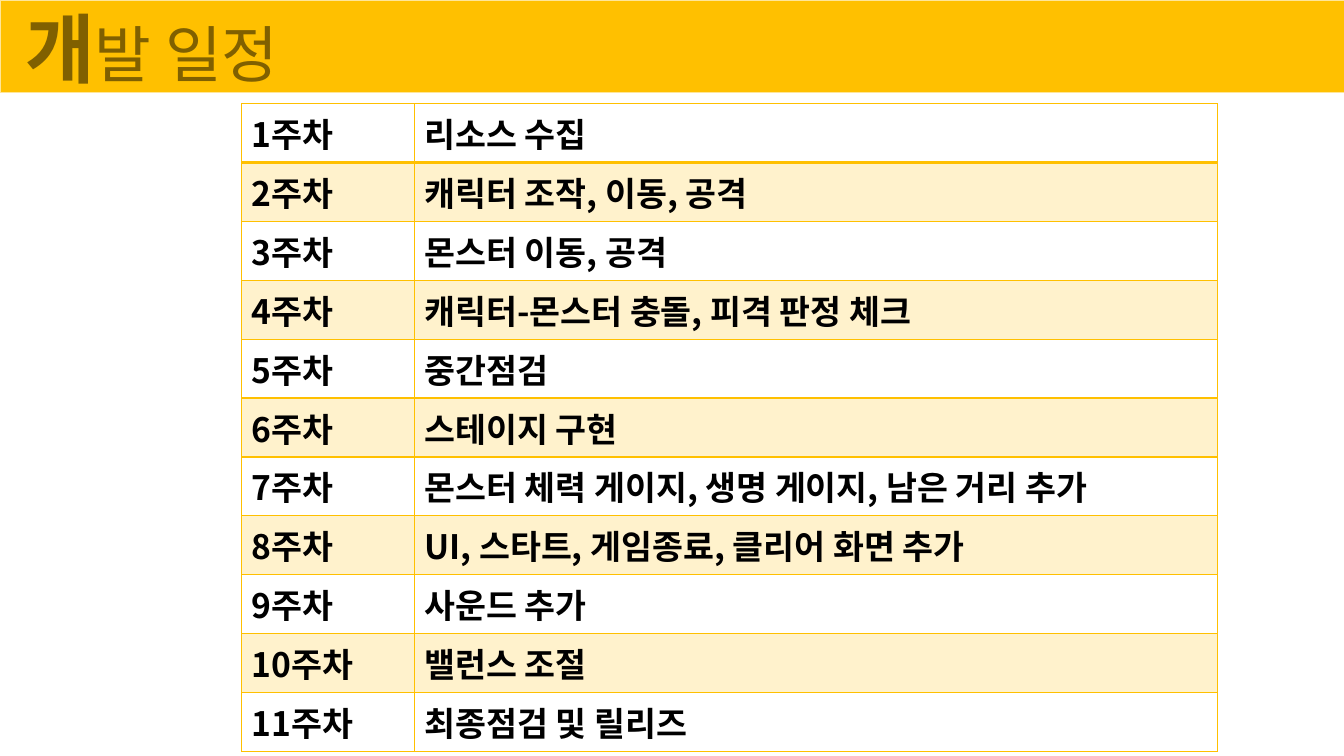
"""Build the development schedule slide with a title banner and a weekly table."""

import dataclasses

import lxml.etree
import pptx
import pptx.dml.color
import pptx.enum.shapes
import pptx.enum.text
import pptx.oxml.ns
import pptx.slide
import pptx.table
import pptx.text.text
import pptx.util

SLIDE_WIDTH = pptx.util.Inches(13.33)
SLIDE_HEIGHT = pptx.util.Inches(7.5)
FONT_NAME = "Noto Sans CJK KR"
GOLD = pptx.dml.color.RGBColor(0xFF, 0xC0, 0x00)
PALE_GOLD = pptx.dml.color.RGBColor(0xFF, 0xE6, 0x99)
BROWN = pptx.dml.color.RGBColor(0x80, 0x60, 0x00)
BLACK = pptx.dml.color.RGBColor(0x00, 0x00, 0x00)
BAND_OPACITY = 20
WEEK_COLUMN = 12.83
TASK_COLUMN = 59.79
ROW_HEIGHT = 7.6
TASKS = (
    "리소스 수집",
    "캐릭터 조작, 이동, 공격",
    "몬스터 이동, 공격",
    "캐릭터-몬스터 충돌, 피격 판정 체크",
    "중간점검",
    "스테이지 구현",
    "몬스터 체력 게이지, 생명 게이지, 남은 거리 추가",
    "UI, 스타트, 게임종료, 클리어 화면 추가",
    "사운드 추가",
    "밸런스 조절",
    "최종점검 및 릴리즈",
)


@dataclasses.dataclass(frozen=True)
class Area:
    """A rectangle in percent of the slide's width and height."""

    left: float
    top: float
    width: float
    height: float

    def lengths(self) -> tuple[int, int, int, int]:
        """Return left, top, width and height as slide lengths."""
        return across(self.left), down(self.top), across(self.width), down(self.height)


@dataclasses.dataclass(frozen=True)
class TextStyle:
    """Size, colour and weight of a run."""

    size: float
    color: pptx.dml.color.RGBColor
    bold: bool


@dataclasses.dataclass(frozen=True)
class TitlePart:
    """A piece of the title with its own style."""

    text: str
    style: TextStyle


BANNER = Area(0, 0, 108.25, 12.27)
TITLE = Area(1.13, 1.33, 21.38, 11.47)
SCHEDULE = Area(18, 13.73, WEEK_COLUMN + TASK_COLUMN, ROW_HEIGHT * len(TASKS))
CELL_STYLE = TextStyle(24, BLACK, True)
TITLE_PARTS = (
    TitlePart("개", TextStyle(54, BROWN, True)),
    TitlePart("발 일정", TextStyle(44, BROWN, False)),
)


def across(percent: float) -> int:
    """Convert a share of the slide's width to a length."""
    return pptx.util.Emu(round(SLIDE_WIDTH * percent / 100))


def down(percent: float) -> int:
    """Convert a share of the slide's height to a length."""
    return pptx.util.Emu(round(SLIDE_HEIGHT * percent / 100))


def format_run(run: pptx.text.text._Run, style: TextStyle) -> None:
    """Apply a style and the slide's font to a run."""
    run.font.name = FONT_NAME
    run.font.size = pptx.util.Pt(style.size)
    run.font.bold = style.bold
    run.font.color.rgb = style.color
    east_asian = lxml.etree.SubElement(run.font._element, pptx.oxml.ns.qn("a:ea"))
    east_asian.set("typeface", FONT_NAME)


def draw_banner(slide: pptx.slide.Slide) -> None:
    """Draw the gold band along the top."""
    banner = slide.shapes.add_shape(
        pptx.enum.shapes.MSO_SHAPE.RECTANGLE, *BANNER.lengths()
    )
    banner.shadow.inherit = False
    banner.fill.solid()
    banner.fill.fore_color.rgb = GOLD
    banner.line.color.rgb = PALE_GOLD
    banner.line.width = pptx.util.Pt(1)


def draw_title(slide: pptx.slide.Slide) -> None:
    """Write the title with its enlarged first syllable."""
    text_frame = slide.shapes.add_textbox(*TITLE.lengths()).text_frame
    text_frame.word_wrap = True
    text_frame.vertical_anchor = pptx.enum.text.MSO_ANCHOR.MIDDLE
    paragraph = text_frame.paragraphs[0]
    paragraph.line_spacing = 0.9
    for part in TITLE_PARTS:
        run = paragraph.add_run()
        run.text = part.text
        format_run(run, part.style)


def set_borders(cell: pptx.table._Cell, widths: dict[str, float]) -> None:
    """Give a cell gold borders of the given widths in points."""
    properties = cell._tc.get_or_add_tcPr()
    for position, (side, width) in enumerate(widths.items()):
        border = lxml.etree.Element(pptx.oxml.ns.qn(f"a:ln{side}"))
        border.set("w", str(pptx.util.Pt(width)))
        fill = lxml.etree.SubElement(border, pptx.oxml.ns.qn("a:solidFill"))
        color = lxml.etree.SubElement(fill, pptx.oxml.ns.qn("a:srgbClr"))
        color.set("val", str(GOLD))
        properties.insert(position, border)


def fill_cell(cell: pptx.table._Cell, banded: bool) -> None:
    """Tint a banded cell with translucent gold and leave others clear."""
    if not banded:
        cell.fill.background()
        return
    cell.fill.solid()
    cell.fill.fore_color.rgb = GOLD
    color = cell._tc.tcPr.find(".//" + pptx.oxml.ns.qn("a:srgbClr"))
    alpha = lxml.etree.SubElement(color, pptx.oxml.ns.qn("a:alpha"))
    alpha.set("val", str(BAND_OPACITY * 1000))


def draw_schedule(slide: pptx.slide.Slide) -> None:
    """Draw the table of weeks and tasks."""
    table = slide.shapes.add_table(len(TASKS), 2, *SCHEDULE.lengths()).table
    table.first_row = False
    table.horz_banding = False
    for column, width in zip(table.columns, (WEEK_COLUMN, TASK_COLUMN)):
        column.width = across(width)
    for index, task in enumerate(TASKS):
        table.rows[index].height = down(ROW_HEIGHT)
        widths = {
            "L": 1,
            "R": 1,
            "T": 2 if index == 1 else 1,
            "B": 2 if index == 0 else 1,
        }
        for cell, text in zip(table.rows[index].cells, (f"{index + 1}주차", task)):
            cell.text_frame.text = text
            cell.vertical_anchor = pptx.enum.text.MSO_ANCHOR.MIDDLE
            format_run(cell.text_frame.paragraphs[0].runs[0], CELL_STYLE)
            fill_cell(cell, index % 2 == 1)
            set_borders(cell, widths)


def main() -> None:
    """Create the presentation and save it."""
    presentation = pptx.Presentation()
    presentation.slide_width = SLIDE_WIDTH
    presentation.slide_height = SLIDE_HEIGHT
    slide = presentation.slides.add_slide(presentation.slide_layouts[6])
    draw_banner(slide)
    draw_schedule(slide)
    draw_title(slide)
    presentation.save("out.pptx")


if __name__ == "__main__":
    main()
